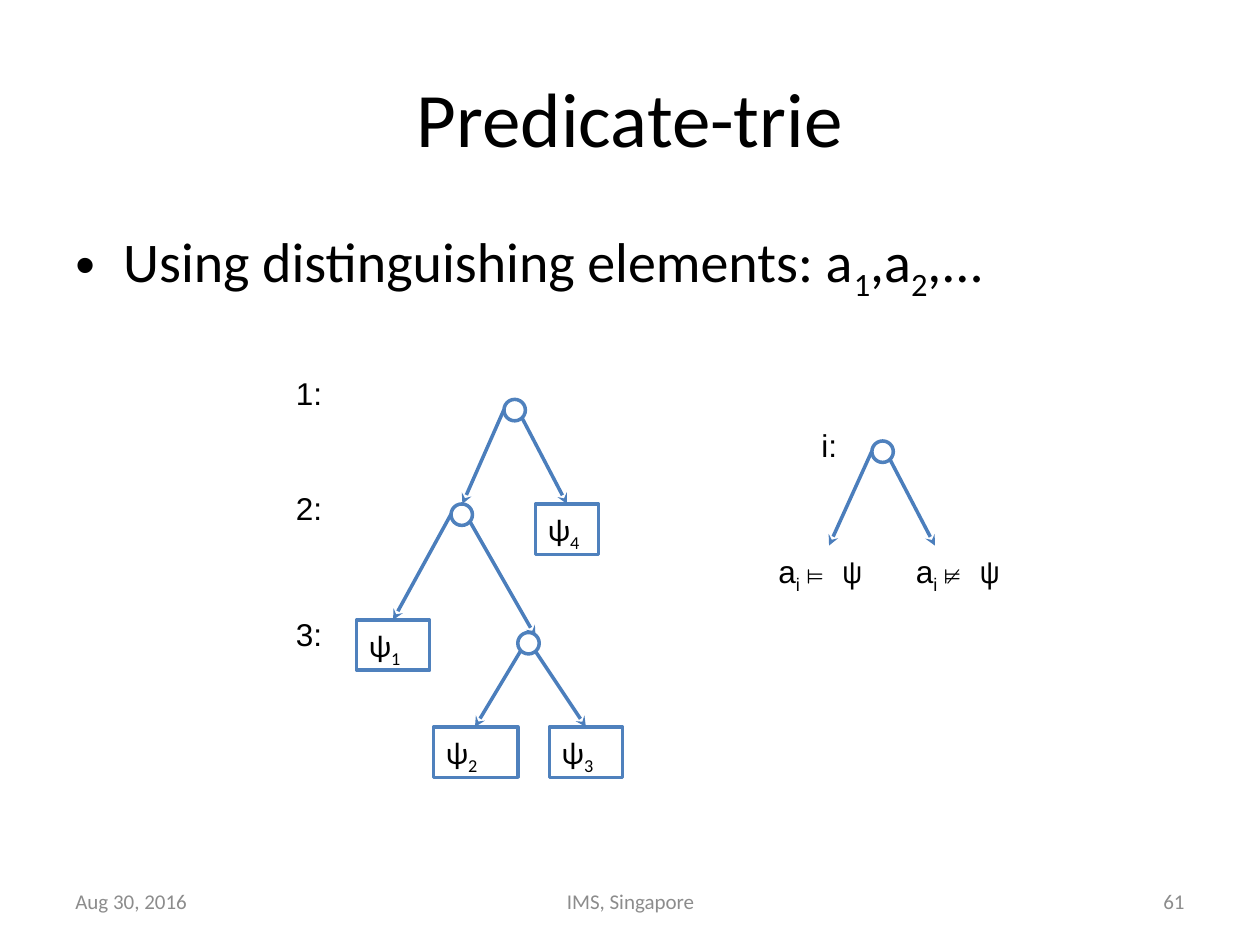
import pptx
import pptx.dml.color
import pptx.enum.shapes
import pptx.enum.text
import pptx.oxml.ns
import pptx.util
from lxml import etree

Inches = pptx.util.Inches
Align = pptx.enum.text.PP_ALIGN
Anchor = pptx.enum.text.MSO_ANCHOR
Shape = pptx.enum.shapes.MSO_SHAPE


def color(value):
    return pptx.dml.color.RGBColor.from_string(value)


def add_element(parent, tag, **attributes):
    return etree.SubElement(parent, pptx.oxml.ns.qn(tag), attributes)


class TrieSlide:
    """Draws titles, text, tree nodes, leaves and arrows in one style."""

    ink = "000000"
    muted = "8C8C8C"
    paper = "FFFFFF"
    outline = "4F81BD"
    edge = "4B7EBC"
    stroke = pptx.util.Pt(2)
    node_size = 0.17
    row_height = 0.4

    def __init__(self, deck):
        self.slide = deck.slides.add_slide(deck.slide_layouts[5])

    def add_spans(self, para, spans, size, font, ink=ink):
        for text, *options in spans:
            span = para.add_run()
            span.text = text
            span.font.size = pptx.util.Pt(size)
            span.font.name = font
            span.font.color.rgb = color(ink)
            if "sub" in options:
                span.font._element.set("baseline", "-25000")
            if "mono" in options:
                span.font.name = "Courier New"

    def title(self, text):
        box = self.slide.shapes.title
        box.left, box.top = Inches(0.5), Inches(0.3)
        box.width, box.height = Inches(9), Inches(1.25)
        box.text_frame.vertical_anchor = Anchor.MIDDLE
        para = box.text_frame.paragraphs[0]
        para.alignment = Align.CENTER
        self.add_spans(para, [(text,)], 44, "Calibri")

    def text(self, left, top, width, height, spans, size=18, font="Arial",
             ink=ink, align=Align.LEFT, anchor=Anchor.TOP, bullet=False):
        box = self.slide.shapes.add_textbox(
            Inches(left), Inches(top), Inches(width), Inches(height))
        box.text_frame.word_wrap = True
        box.text_frame.vertical_anchor = anchor
        para = box.text_frame.paragraphs[0]
        para.alignment = align
        if bullet:
            properties = para._p.get_or_add_pPr()
            properties.set("marL", str(Inches(0.38)))
            properties.set("indent", str(Inches(-0.38)))
            add_element(properties, "a:buFont", typeface="Arial")
            add_element(properties, "a:buChar", char="•")
        self.add_spans(para, spans, size, font, ink)

    def label(self, left, top, width, spans):
        self.text(left, top, width, self.row_height, spans)

    def footer(self, left, width, text, align):
        self.text(left, 6.95, width, self.row_height, [(text,)], 12, "Calibri",
                  self.muted, align, Anchor.MIDDLE)

    def outlined(self, kind, left, top, width, height):
        shape = self.slide.shapes.add_shape(
            kind, Inches(left), Inches(top), Inches(width), Inches(height))
        shape.shadow.inherit = False
        shape.fill.solid()
        shape.fill.fore_color.rgb = color(self.paper)
        shape.line.color.rgb = color(self.outline)
        shape.line.width = self.stroke
        return shape

    def node(self, left, top):
        self.outlined(Shape.OVAL, left, top, self.node_size, self.node_size)

    def leaf(self, left, top, width, index):
        shape = self.outlined(Shape.RECTANGLE, left, top, width, self.row_height)
        shape.text_frame.vertical_anchor = Anchor.TOP
        para = shape.text_frame.paragraphs[0]
        para.alignment = Align.LEFT
        self.add_spans(para, [("ψ",), (index, "sub")], 18, "Calibri")

    def arrow(self, start, end):
        line = self.slide.shapes.add_connector(
            pptx.enum.shapes.MSO_CONNECTOR.STRAIGHT,
            *(Inches(value) for value in (*start, *end)))
        line.line.color.rgb = color(self.edge)
        line.line.width = self.stroke
        add_element(line.line._get_or_add_ln(), "a:tailEnd", type="stealth")
        add_element(line._element.spPr, "a:effectLst")


def main():
    deck = pptx.Presentation()
    deck.slide_width, deck.slide_height = Inches(10), Inches(7.5)
    page = TrieSlide(deck)

    page.title("Predicate-trie")
    page.text(0.5, 1.75, 9, 4.95,
              [("Using distinguishing elements: a",), ("1", "sub"), (",a",),
               ("2", "sub"), (",...",)], 32, "Calibri", bullet=True)

    page.footer(0.5, 2.33, "Aug 30, 2016", Align.LEFT)
    page.footer(3.42, 3.17, "IMS, Singapore", Align.CENTER)
    page.footer(7.17, 2.33, "61", Align.RIGHT)

    for left, top, text in [(2.25, 2.92, "1:"), (2.25, 3.83, "2:"),
                            (2.25, 4.83, "3:"), (6.42, 3.33, "i:")]:
        page.label(left, top, 0.58, [(text,)])

    for left, top in [(4, 3.17), (3.58, 4), (4.11, 5.02), (6.92, 3.5)]:
        page.node(left, top)

    for left, top, width, index in [(2.83, 4.92, 0.58, "1"), (3.44, 5.77, 0.67, "2"),
                                    (4.36, 5.77, 0.58, "3"), (4.25, 4, 0.5, "4")]:
        page.leaf(left, top, width, index)

    for start, end in [
        ((4, 3.25), (3.67, 4)), ((4.14, 3.31), (4.5, 4)),
        ((3.58, 4.08), (3.12, 4.92)), ((3.73, 4.14), (4.25, 5.05)),
        ((4.13, 5.17), (3.77, 5.77)), ((4.25, 5.17), (4.65, 5.77)),
        ((6.92, 3.58), (6.58, 4.33)), ((7.06, 3.64), (7.42, 4.33)),
    ]:
        page.arrow(start, end)

    for left, relation in [(6.08, "⊨ ψ"), (7.17, "⊭ ψ")]:
        page.label(left, 4.33, 0.92, [("a",), ("i ", "sub"), (relation, "mono")])

    deck.save("out.pptx")


if __name__ == "__main__":
    main()
